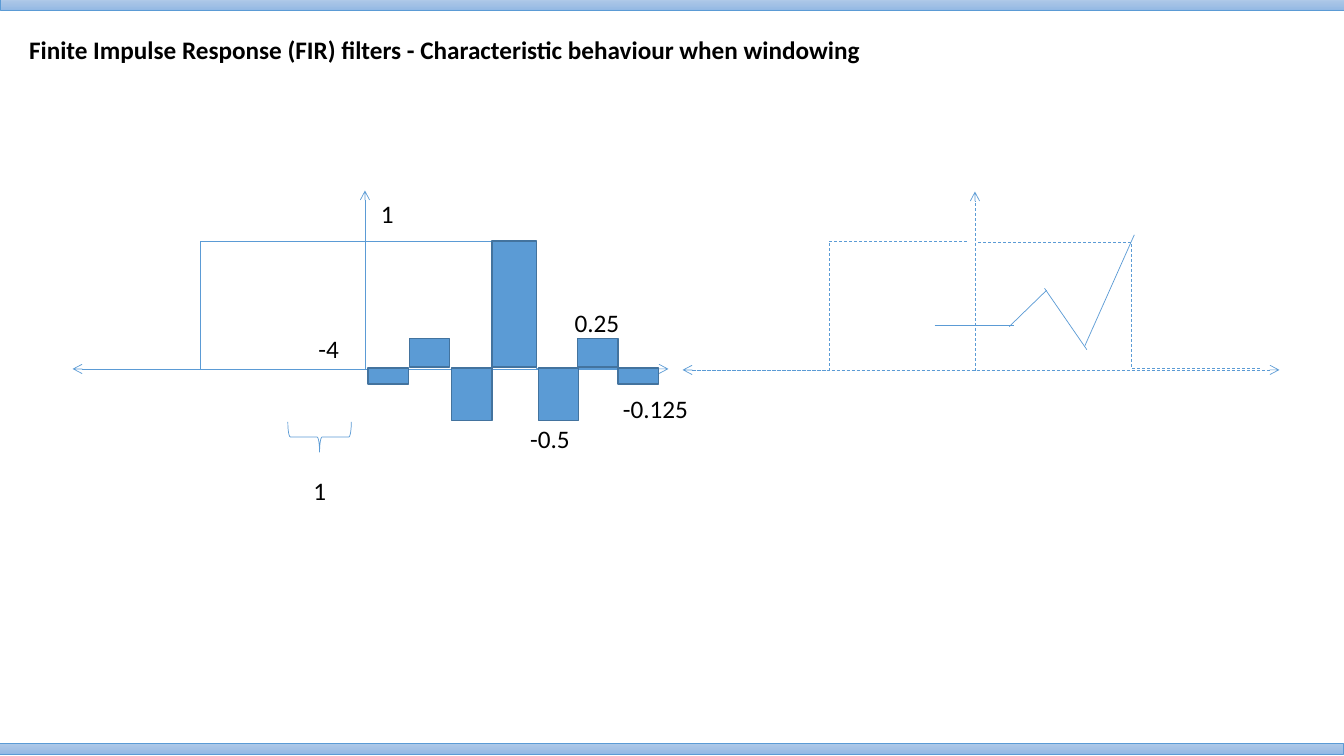
from copy import deepcopy

from pptx import Presentation
from pptx import util as u
from pptx.dml.color import RGBColor
from pptx.enum import dml, shapes, text
from pptx.oxml import parse_xml
from pptx.oxml.ns import nsdecls

COLUMNS, ROWS = 13.33, 7.5
BLUE = RGBColor(0x5B, 0x9B, 0xD5)
BAR_EDGE = RGBColor(0x43, 0x73, 0x9E)
BLACK = RGBColor(0, 0, 0)
BAND_STOPS = [
    (0, RGBColor(0xB1, 0xCB, 0xE9)),
    (0.5, RGBColor(0xA3, 0xC1, 0xE5)),
    (1, RGBColor(0x93, 0xB9, 0xE4)),
]
BAR_HEIGHTS = {1: 1.25, 0.5: 0.52, 0.25: 0.28, 0.125: 0.16}
BARS = [
    (3.65, 0.4, -0.125), (4.06, 0.4, 0.25), (4.48, 0.4, -0.5), (4.88, 0.44, 1),
    (5.34, 0.4, -0.5), (5.73, 0.4, 0.25), (6.13, 0.4, -0.125),
]
LABELS = [
    ("-4", 3.06, 3.26, 0.81), ("0.25", 5.6, 3, 0.98), ("-0.5", 5.16, 4.15, 0.98),
    ("-0.125", 6.08, 3.85, 1.44), ("1", 3.68, 1.92, 0.36), ("1", 3.01, 4.67, 0.36),
]
RESPONSE = [
    ((9.27, 3.23), (10.06, 3.23)), ((10.01, 3.24), (10.38, 2.88)),
    ((10.36, 2.86), (10.78, 3.47)), ((10.76, 3.43), (11.25, 2.33)),
]


class FilterSlide:
    """Draws on one slide, with lengths in columns and rows of its grid."""

    def __init__(self, presentation):
        self.column = int(presentation.slide_width / COLUMNS)
        self.row = int(presentation.slide_height / ROWS)
        self.slide = presentation.slides.add_slide(presentation.slide_layouts[6])

    def place(self, left, top, width, height):
        return (u.Emu(int(left * self.column)), u.Emu(int(top * self.row)),
                u.Emu(int(width * self.column)), u.Emu(int(height * self.row)))

    def shape(self, kind, *box, line=BLUE, weight=0.5):
        shape = self.slide.shapes.add_shape(kind, *self.place(*box))
        shape.shadow.inherit = False
        shape.fill.background()
        shape.line.color.rgb = line
        shape.line.width = u.Pt(weight)
        return shape

    def band(self, left, top):
        band = self.shape(shapes.MSO_SHAPE.RECTANGLE, left, top, COLUMNS, 0.11)
        band.fill.gradient()
        band.fill.gradient_angle = 270
        stop_list = band._element.xpath(".//a:gsLst")[0]
        stop_list.append(deepcopy(stop_list[0]))
        for stop, (position, color) in zip(band.fill.gradient_stops, BAND_STOPS):
            stop.position = position
            stop.color.rgb = color

    def bar(self, left, width, value):
        height = BAR_HEIGHTS[abs(value)]
        top = 3.65 if value < 0 else 3.64 - height
        bar = self.shape(shapes.MSO_SHAPE.RECTANGLE, left, top, width, height,
                         line=BAR_EDGE, weight=1)
        bar.fill.solid()
        bar.fill.fore_color.rgb = BLUE

    def brace(self, *box):
        self.shape(shapes.MSO_SHAPE.LEFT_BRACE, *box).rotation = 270

    def text(self, words, left, top, width, size=18, bold=False, color=BLACK):
        box = self.slide.shapes.add_textbox(*self.place(left, top, width, 0.4))
        frame = box.text_frame
        frame.word_wrap = True
        frame.auto_size = text.MSO_AUTO_SIZE.SHAPE_TO_FIT_TEXT
        paragraph = frame.paragraphs[0]
        paragraph.text = words
        font = paragraph.runs[0].font
        font.name, font.size, font.bold = "Calibri", u.Pt(size), bold
        font.color.rgb = color

    def line(self, start, end, dashed=False, arrows=(), bend=None):
        kind = shapes.MSO_CONNECTOR.STRAIGHT if bend is None else shapes.MSO_CONNECTOR.ELBOW
        connector = self.slide.shapes.add_connector(kind, *self.place(*start, *end))
        connector.line.color.rgb = BLUE
        connector.line.width = u.Pt(0.5)
        if dashed:
            connector.line.dash_style = dml.MSO_LINE.DASH
        properties = connector._element.spPr
        for end_name in arrows:
            properties.find("{*}ln").append(
                parse_xml(f'<a:{end_name} {nsdecls("a")} type="arrow"/>'))
        properties.append(parse_xml(f'<a:effectLst {nsdecls("a")}/>'))
        if bend is not None:
            guide = f'<a:gd {nsdecls("a")} name="adj1" fmla="val {round(bend * 100000)}"/>'
            properties.xpath(".//a:avLst")[0].append(parse_xml(guide))

    def axes(self, origin, bottom, left, right, level, dashed=False):
        self.line((origin, bottom), (origin, bottom - 1.78), dashed, ["tailEnd"])
        self.line((left, level), (right, level), dashed, ["headEnd", "tailEnd"])


def main():
    presentation = Presentation()
    presentation.slide_width = u.Inches(COLUMNS)
    presentation.slide_height = u.Inches(ROWS)
    page = FilterSlide(presentation)

    page.band(0, -0.01)
    page.band(-0.01, 7.37)
    page.text("Finite Impulse Response (FIR) filters - Characteristic behaviour when windowing",
              0.19, 0.29, 12.17, bold=True)

    page.axes(3.62, 3.67, 0.72, 6.63, 3.66)
    page.line((3.6, 2.39), (6.46, 3.65), bend=0.6)
    page.line((3.62, 2.39), (0.81, 3.66), bend=0.58)
    for bar in BARS:
        page.bar(*bar)

    page.axes(9.67, 3.68, 6.77, 12.69, 3.67, dashed=True)
    page.line((9.7, 2.4), (12.51, 3.65), dashed=True, bend=0.54)
    page.line((9.59, 2.39), (6.86, 3.67), dashed=True, bend=0.5)

    page.brace(3.02, 4.02, 0.3, 0.63)
    for label in LABELS:
        page.text(*label)
    for start, end in RESPONSE:
        page.line(start, end)

    presentation.save("out.pptx")


if __name__ == "__main__":
    main()
